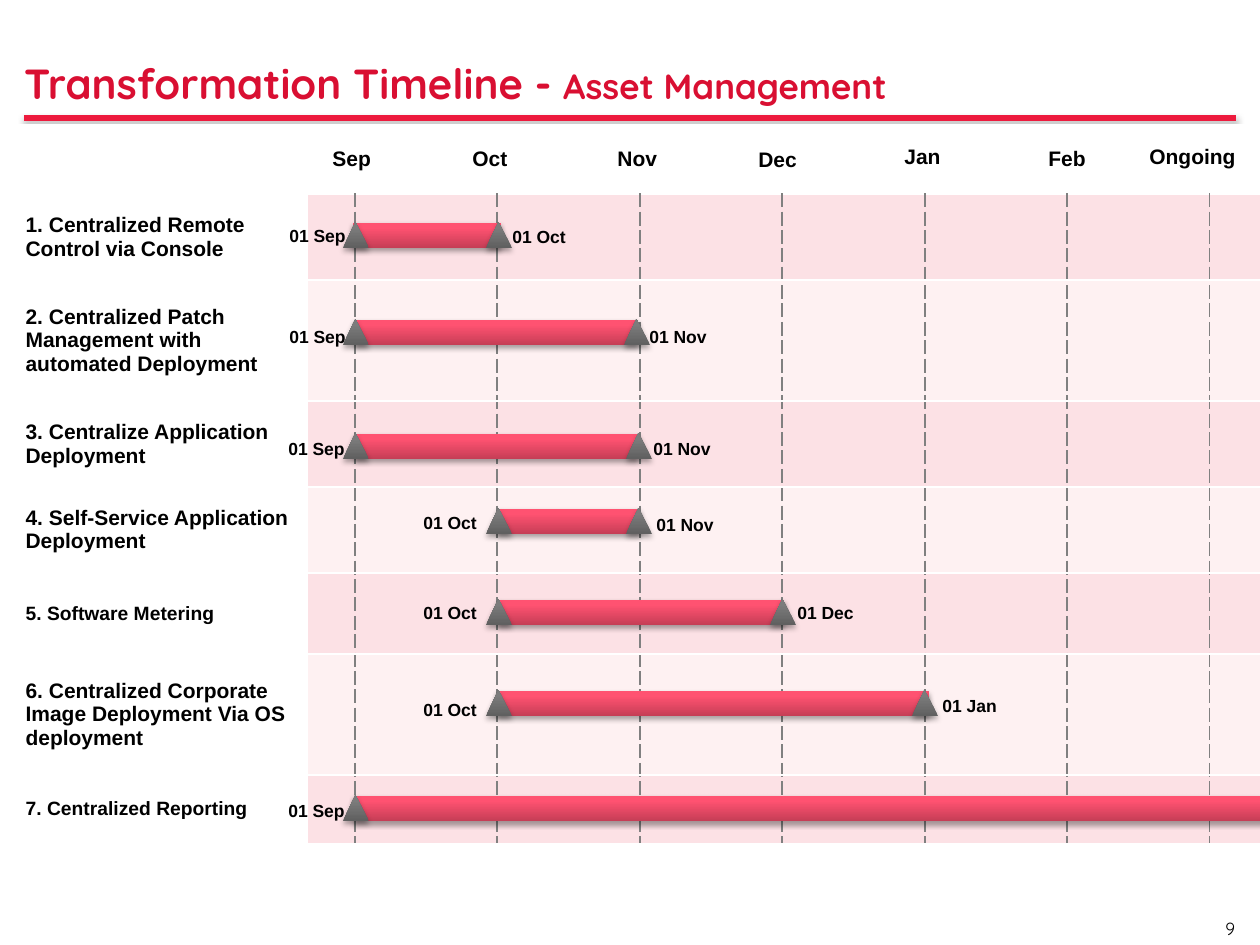
from copy import deepcopy

from lxml.etree import SubElement
from pptx import Presentation
from pptx.dml.color import RGBColor as RGB
from pptx.enum.shapes import MSO_CONNECTOR as CONNECTOR, MSO_SHAPE as SHAPE
from pptx.enum.text import MSO_ANCHOR as ANCHOR, PP_ALIGN as ALIGN
from pptx.oxml.ns import qn
from pptx.util import Emu, Pt

BLACK, WHITE = RGB(0, 0, 0), RGB(0xFF, 0xFF, 0xFF)
TITLE_RED, RULE_RED = RGB(0xD9, 0x0F, 0x32), RGB(0xED, 0x1A, 0x3D)
ROSE, PALE_ROSE = RGB(0xFC, 0xE1, 0xE5), RGB(0xFE, 0xF1, 0xF2)
GRID_GREY = RGB(0x80, 0x80, 0x80)
BAR_STOPS = [(0, RGB(0xC6, 0x3E, 0x56)), (0.8, RGB(0xFF, 0x52, 0x71)),
             (1, RGB(0xFF, 0x54, 0x72))]
MARKER_STOPS = [(0, RGB(0x60, 0x60, 0x60)), (0.8, RGB(0x7C, 0x7C, 0x7C)),
                (1, RGB(0x7D, 0x7D, 0x7D))]

# Month headings: text, left, top, width
MONTHS = [("Sep", 320, 139, 108), ("Oct", 460, 139, 73), ("Nov", 605, 139, 83),
          ("Dec", 746, 140, 77), ("Jan", 892, 137, 74), ("Feb", 1036, 139, 77),
          ("Ongoing", 1137, 137, 134)]

# Tasks: name, text size, row height
TASKS = [("1. Centralized Remote Control via Console", 12, 86),
         ("2. Centralized Patch Management with automated Deployment", 12, 121),
         ("3. Centralize Application Deployment", 12, 86),
         ("4. Self-Service Application Deployment", 12, 86),
         ("5. Software Metering", 11, 81),
         ("6. Centralized Corporate Image Deployment Via OS deployment", 12, 121),
         ("7. Centralized Reporting", 11, 69)]

# Spans: bar (left, top, width), marker lefts, date labels (text, left, top, width)
SPANS = [
    ((353, 223, 148), [343, 486], [("01 Sep", 277, 219, 111), ("01 Oct", 500, 220, 118)]),
    ((355, 320, 283), [343, 624], [("01 Sep", 277, 320, 131), ("01 Nov", 637, 320, 140)]),
    ((355, 434, 283), [343, 626], [("01 Sep", 276, 432, 131), ("01 Nov", 641, 432, 140)]),
    ((498, 509, 142), [486, 626], [("01 Oct", 411, 506, 122), ("01 Nov", 644, 508, 111)]),
    ((498, 600, 286), [486, 770], [("01 Oct", 411, 596, 107), ("01 Dec", 785, 596, 97)]),
    ((497, 691, 432), [486, 912], [("01 Oct", 411, 693, 107), ("01 Jan", 930, 689, 113)]),
    ((354, 796, 984), [343], [("01 Sep", 276, 794, 107)]),
]


def px(length):
    return Emu(round(length * 914400 / 126))


class TimelineSlide:
    text_font, title_font = "Arial", "Quicksand"

    def __init__(self, deck):
        self.slide = deck.slides.add_slide(deck.slide_layouts[5])
        self.shapes = self.slide.shapes

    def style(self, run, size, color=BLACK, bold=True, font=None):
        run.font.name, run.font.size = font or self.text_font, Pt(size)
        run.font.bold, run.font.color.rgb = bold, color

    def no_margins(self, frame):
        frame.margin_left = frame.margin_right = 0
        frame.margin_top = frame.margin_bottom = 0

    def cast_shadow(self, properties):
        effects = properties.find(qn("a:effectLst"))
        if effects is None:
            effects = SubElement(properties, qn("a:effectLst"))
        shadow = SubElement(effects, qn("a:outerShdw"), blurRad="40000", dist="23000",
                            dir="5400000", rotWithShape="0")
        black = SubElement(shadow, qn("a:srgbClr"), val="000000")
        SubElement(black, qn("a:alpha"), val="35000")

    def title(self, parts):
        heading = self.shapes.title
        heading.left, heading.top, heading.width, heading.height = map(px, (24, 58, 1197, 50))
        frame = heading.text_frame
        self.no_margins(frame)
        frame.word_wrap, frame.vertical_anchor = True, ANCHOR.MIDDLE
        paragraph = frame.paragraphs[0]
        paragraph.alignment = ALIGN.LEFT
        for words, size in parts:
            run = paragraph.add_run()
            run.text = words
            self.style(run, size, TITLE_RED, font=self.title_font)

    def rule(self, left, right, y):
        rule = self.shapes.add_connector(CONNECTOR.STRAIGHT, px(left), px(y), px(right), px(y))
        rule.line.color.rgb, rule.line.width = RULE_RED, Pt(3)
        self.cast_shadow(rule._element.spPr)

    def label(self, words, left, top, width, height=34, size=10):
        box = self.shapes.add_textbox(px(left), px(top), px(width), px(height))
        box.text_frame.word_wrap = True
        box.text_frame.text = words
        self.style(box.text_frame.paragraphs[0].runs[0], size)

    def page_number(self, number):
        frame = self.shapes.add_textbox(px(1213), px(917), px(22), px(22)).text_frame
        self.no_margins(frame)
        frame.word_wrap, frame.vertical_anchor = False, ANCHOR.BOTTOM
        frame.text = number
        frame.paragraphs[0].alignment = ALIGN.RIGHT
        self.style(frame.paragraphs[0].runs[0], 10, bold=False, font=self.title_font)

    def gradient_shape(self, kind, left, top, width, height, stops):
        shape = self.shapes.add_shape(kind, px(left), px(top), px(width), px(height))
        shape.fill.gradient()
        shape.fill.gradient_angle = 90
        stop_list = shape._element.spPr.find(qn("a:gradFill")).find(qn("a:gsLst"))
        stop_list.append(deepcopy(stop_list[-1]))
        for stop, (position, color) in zip(shape.fill.gradient_stops, stops):
            stop.position, stop.color.rgb = position, color
        shape.line.fill.background()
        shape.shadow.inherit = False
        self.cast_shadow(shape._element.spPr)
        return shape

    def bar(self, left, top, width):
        self.gradient_shape(SHAPE.RECTANGLE, left, top, width, 25, BAR_STOPS)

    def marker(self, left, top):
        triangle = self.gradient_shape(SHAPE.ISOSCELES_TRIANGLE, left, top, 26, 26, MARKER_STOPS)
        triangle.adjustments[0] = 0.48

    def border(self, cell, side, color, dash="solid"):
        properties = cell._tc.get_or_add_tcPr()
        line = SubElement(properties, qn("a:" + side), w=str(Pt(1)))
        SubElement(SubElement(line, qn("a:solidFill")), qn("a:srgbClr"), val=str(color))
        SubElement(line, qn("a:prstDash"), val=dash)

    def grid(self, left, top, widths, heights):
        table = self.shapes.add_table(len(heights), len(widths), px(left), px(top),
                                      px(sum(widths)), px(sum(heights))).table
        table.first_row = table.horz_banding = False
        for column, width in zip(table.columns, widths):
            column.width = px(width)
        for row, height in zip(table.rows, heights):
            row.height = px(height)
        last = len(widths) - 1
        for r in range(len(heights)):
            for c in range(len(widths)):
                cell = table.cell(r, c)
                if r:
                    # Dashed month lines start after the second column
                    for side, dashed in (("lnL", c > 1), ("lnR", 0 < c < last)):
                        self.border(cell, side, *((GRID_GREY, "dash") if dashed else (WHITE,)))
                    if r > 1:
                        self.border(cell, "lnT", WHITE)
                    self.border(cell, "lnB", WHITE)
                cell.fill.solid()
                band = ROSE if r % 2 else PALE_ROSE
                cell.fill.fore_color.rgb = band if r and c else WHITE
        return table

    def task(self, cell, name, size):
        cell.text_frame.text = name
        cell.vertical_anchor = ANCHOR.MIDDLE
        self.style(cell.text_frame.paragraphs[0].runs[0], size)


def main():
    deck = Presentation()
    deck.slide_width, deck.slide_height = px(1260), px(945)
    timeline = TimelineSlide(deck)

    # Heading and page furniture
    timeline.page_number("9")
    timeline.rule(24, 1236, 118)
    timeline.title([("Transformation Timeline - ", 24), ("Asset Management", 20)])

    # Task grid
    month_widths = [142, 143] * 3
    grid = timeline.grid(13, 125, [294, 48, *month_widths, 115],
                         [69] + [height for _, _, height in TASKS])
    for r, (name, size, _) in enumerate(TASKS, 1):
        timeline.task(grid.cell(r, 0), name, size)

    # Month headings
    for month, left, top, width in MONTHS:
        timeline.label(month, left, top, width, 38, 12)

    # Bars with their dates and end markers
    for bar, markers, dates in SPANS:
        timeline.bar(*bar)
        for date in dates:
            timeline.label(*date)
        for left in markers:
            timeline.marker(left, bar[1] - 1)

    deck.save("out.pptx")


if __name__ == "__main__":
    main()
